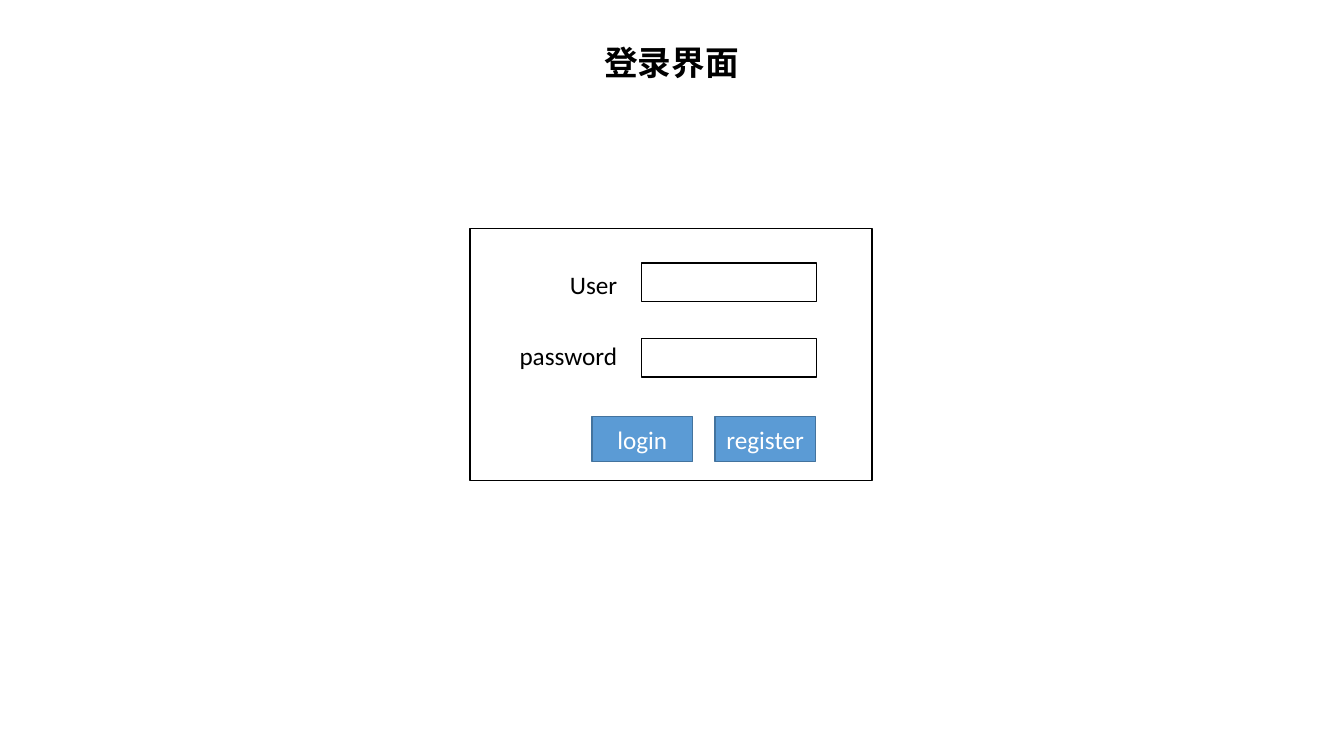
from pptx import Presentation
from pptx import util as u
from pptx.dml import color
from pptx.enum import shapes, text

# Content
TITLE = "登录界面"
FIELDS = [("User", 2.62, 0.68), ("password", 3.33, 1.18)]  # label, label top, label width
BUTTONS = ["login", "register"]

# Layout in inches
PANEL = (4.66, 2.27, 3.99, 2.5)
FIELD_LEFT, FIELD_TOP, FIELD_PITCH = 6.36, 2.61, 0.75
FIELD_SIZE = (1.74, 0.38)
LABEL_RIGHT, LABEL_HEIGHT = 6.22, 0.4
BUTTON_LEFT, BUTTON_TOP, BUTTON_PITCH = 5.87, 4.13, 1.22
BUTTON_SIZE = (1, 0.45)


def rgb(value):
    return color.RGBColor.from_string(value)


def inches(*lengths):
    return [u.Inches(length) for length in lengths]


def write(shape, words, size, hue, align, anchor, bold=False):
    frame = shape.text_frame
    frame.word_wrap = False
    frame.auto_size = text.MSO_AUTO_SIZE.NONE
    frame.vertical_anchor = anchor
    para = frame.paragraphs[0]
    para.alignment = align
    span = para.add_run()
    span.text = words
    span.font.name = "Calibri"
    span.font.size = u.Pt(size)
    span.font.bold = bold
    span.font.color.rgb = rgb(hue)


def add_box(parent, place, line, fill=None):
    box = parent.shapes.add_shape(shapes.MSO_SHAPE.RECTANGLE, *inches(*place))
    box.shadow.inherit = False
    if fill:
        box.fill.solid()
        box.fill.fore_color.rgb = rgb(fill)
    else:
        box.fill.background()
    box.line.color.rgb = rgb(line)
    box.line.width = u.Pt(1)
    return box


deck = Presentation()
deck.slide_width, deck.slide_height = inches(13.33, 7.5)
page = deck.slides.add_slide(deck.slide_layouts[5])

# Title
title = page.shapes.title
title.left, title.top, title.width, title.height = inches(5.88, 0.37, 1.56, 0.5)
write(title, TITLE, 24, "000000", text.PP_ALIGN.CENTER, text.MSO_ANCHOR.TOP, bold=True)

# Login panel
form = page.shapes.add_group_shape()
add_box(form, PANEL, "000000")

# Labelled input fields
for row, (label, top, width) in enumerate(FIELDS):
    add_box(form, (FIELD_LEFT, FIELD_TOP + row * FIELD_PITCH, *FIELD_SIZE), "000000")
    caption = form.shapes.add_textbox(
        *inches(LABEL_RIGHT - width, top, width, LABEL_HEIGHT))
    write(caption, label, 18, "000000", text.PP_ALIGN.RIGHT, text.MSO_ANCHOR.TOP)

# Buttons
for column, label in enumerate(BUTTONS):
    place = (BUTTON_LEFT + column * BUTTON_PITCH, BUTTON_TOP, *BUTTON_SIZE)
    button = add_box(form, place, "43739E", "5B9BD5")
    write(button, label, 18, "FFFFFF", text.PP_ALIGN.CENTER, text.MSO_ANCHOR.MIDDLE)

deck.save("out.pptx")
